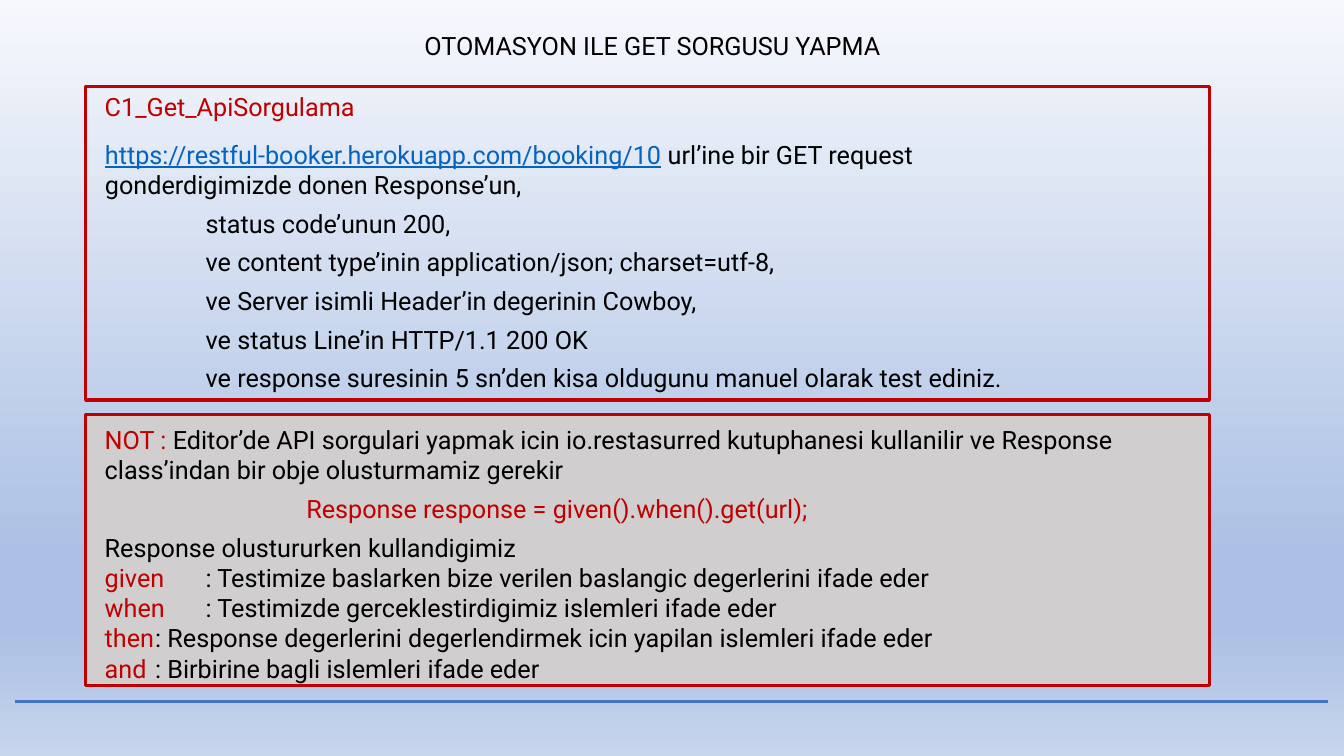
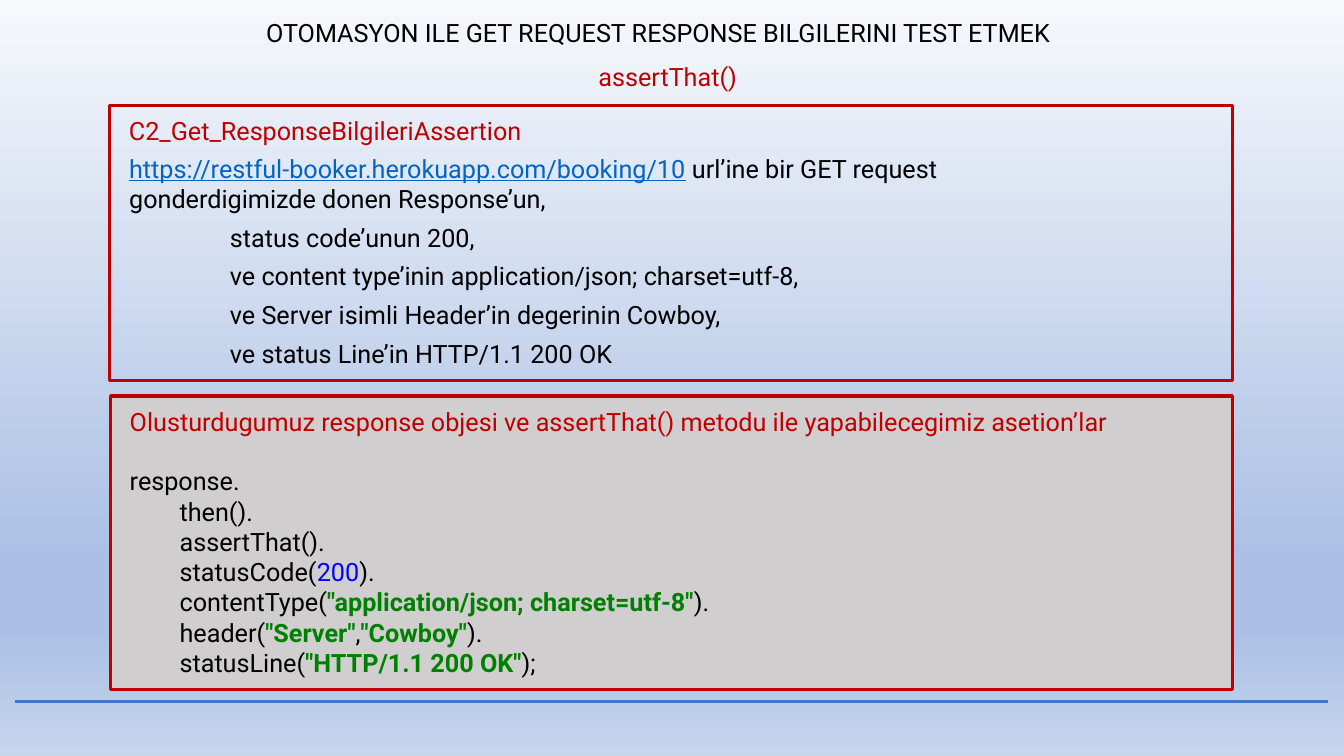
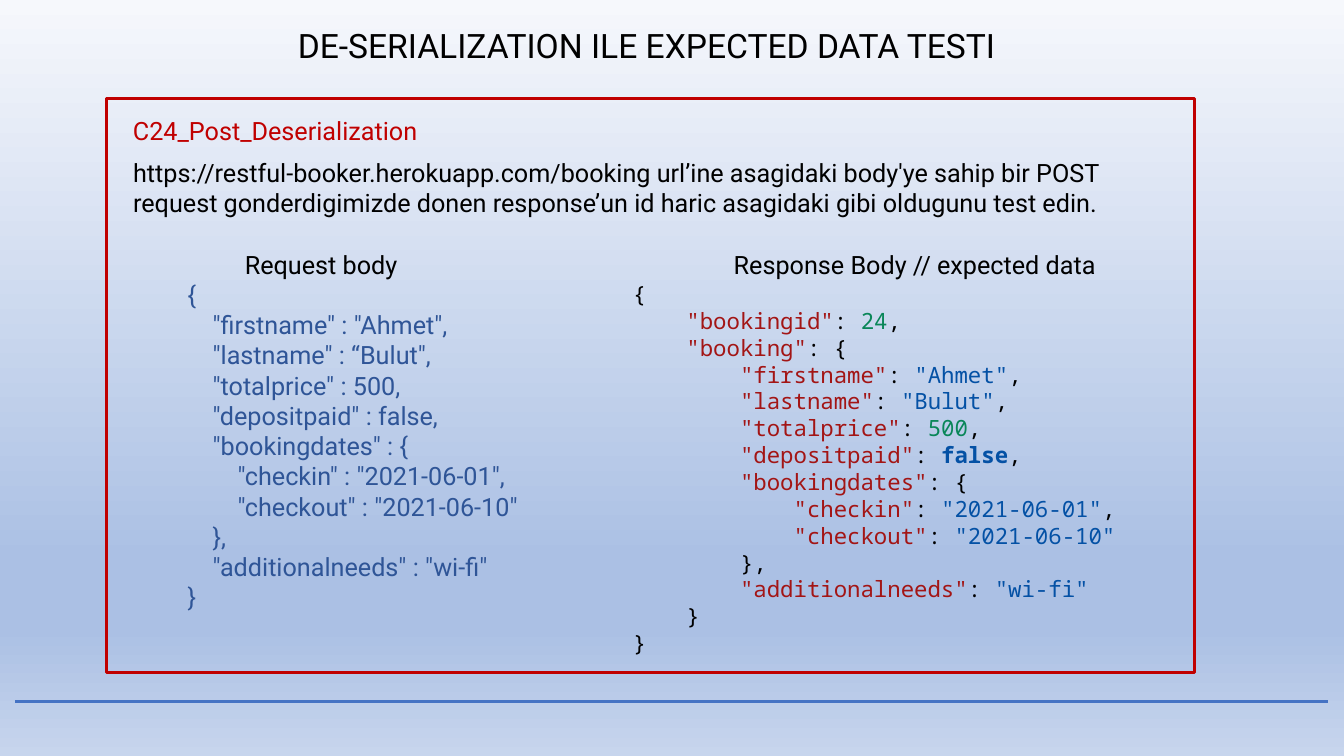
from dataclasses import dataclass
from typing import Optional

from lxml import etree
from pptx import Presentation
from pptx.dml.color import RGBColor
from pptx.enum.shapes import MSO_CONNECTOR, MSO_SHAPE
from pptx.enum.text import MSO_ANCHOR, MSO_AUTO_SIZE, PP_ALIGN
from pptx.oxml.ns import qn
from pptx.util import Cm, Pt

LEFT, CENTER = PP_ALIGN.LEFT, PP_ALIGN.CENTER
TOP, FIXED = MSO_ANCHOR.TOP, MSO_AUTO_SIZE.NONE
RECT, STRAIGHT = MSO_SHAPE.RECTANGLE, MSO_CONNECTOR.STRAIGHT


@dataclass(frozen=True)
class Theme:
    """Colours, fonts and sizes shared by all slides."""
    black: str = "000000"
    red: str = "C00000"
    gray: str = "D0CECE"
    rule: str = "4472C4"
    link: str = "0563C1"
    navy: str = "2F5597"
    blue: str = "0000FF"
    green: str = "008000"
    key: str = "A31515"
    value: str = "0451A5"
    digit: str = "098658"
    sky: tuple = ((0, "F6F8FC"), (74, "ABC0E4"), (83, "ABC0E4"), (100, "C7D5ED"))
    sans: str = "Roboto"
    mono: str = "Noto Sans Mono"
    text: int = 18
    code: int = 16
    large: int = 24
    pitch: float = 19.2
    gap: int = 6
    line: float = 2.25
    step: float = 2.54


T = Theme()


@dataclass
class Para:
    """One paragraph: runs of text, colour and optional style."""
    runs: list
    indent: float = 0
    before: float = 0
    size: int = T.text
    face: str = T.sans
    pitch: Optional[float] = None
    tab: float = 0
    align: PP_ALIGN = LEFT


def plain(text, color=T.black, **kw):
    """Make a paragraph of one run."""
    return Para([(text, color)], **kw)


def put(par, item):
    """Format a paragraph and add its runs."""
    props = par._p.get_or_add_pPr()
    props.set("marL", str(Cm(item.indent)))
    props.set("indent", "0")
    etree.SubElement(props, qn("a:buNone"))
    if item.tab:
        tabs = etree.SubElement(props, qn("a:tabLst"))
        etree.SubElement(tabs, qn("a:tab"), pos=str(Cm(item.tab)), algn="l")
    par.alignment = item.align
    par.space_before = Pt(item.before)
    par.line_spacing = Pt(item.pitch) if item.pitch else 1.0
    for text, color, *style in item.runs:
        run = par.add_run()
        run.text = text
        font = run.font
        font.name, font.size = item.face, Pt(item.size)
        font.color.rgb = RGBColor.from_string(color)
        font.bold = "bold" in style
        font.underline = "under" in style


def write(shape, area, items):
    """Place a text shape and write its paragraphs."""
    shape.left, shape.top, shape.width, shape.height = map(Cm, area)
    frame = shape.text_frame
    frame.word_wrap = True
    frame.auto_size = FIXED
    frame.vertical_anchor = TOP
    for i, item in enumerate(items):
        put(frame.add_paragraph() if i else frame.paragraphs[0], item)


def label(slide, area, items):
    """Add a text box."""
    write(slide.shapes.add_textbox(*map(Cm, area)), area, items)


def panel(slide, area, fill=None):
    """Add a red frame, filled on demand."""
    box = slide.shapes.add_shape(RECT, *map(Cm, area))
    box.shadow.inherit = False
    if fill:
        box.fill.solid()
        box.fill.fore_color.rgb = RGBColor.from_string(fill)
    else:
        box.fill.background()
    box.line.color.rgb = RGBColor.from_string(T.red)
    box.line.width = Pt(T.line)


def page(deck, title, area, size=T.text, align=LEFT):
    """Add a slide with its title."""
    slide = deck.slides.add_slide(deck.slide_layouts[1])
    write(slide.shapes.title, area, [plain(title, size=size, align=align)])
    return slide


def sky(master):
    """Give the master its gradient background."""
    fill = master.background.fill
    fill.gradient()
    fill.gradient_angle = 270
    stops = master.element.find(".//" + qn("a:gsLst"))
    stops.clear()
    for pos, color in T.sky:
        stop = etree.SubElement(stops, qn("a:gs"), pos=str(pos * 1000))
        etree.SubElement(stop, qn("a:srgbClr"), val=color)


def rule(slide, master):
    """Draw the footer line and move it to the master."""
    line = slide.shapes.add_connector(STRAIGHT, Cm(0.38), Cm(17.68), Cm(33.48), Cm(17.68))
    line.line.color.rgb = RGBColor.from_string(T.rule)
    line.line.width = Pt(T.line)
    etree.SubElement(line.element.spPr, qn("a:effectLst"))
    master.shapes.element.append(line.element)


def task(extra=()):
    """List the checks of a GET request."""
    checks = (
        "status code’unun 200,",
        "ve content type’inin application/json; charset=utf-8,",
        "ve Server isimli Header’in degerinin Cowboy,",
        "ve status Line’in HTTP/1.1 200 OK",
        *extra,
    )
    intro = Para([
        ("https://restful-booker.herokuapp.com/booking/10", T.link, "under"),
        (" url’ine bir GET request gonderdigimizde donen Response’un,", T.black),
    ])
    return [intro] + [plain(c, indent=T.step, before=T.gap) for c in checks]


def code(*runs):
    """Make a line of monospaced code."""
    return Para(list(runs), size=T.code, face=T.mono, pitch=T.pitch)


def entry(depth, key, value, color=T.value, tail=",", *style):
    """Make a JSON line with a key and a value."""
    runs = [("    " * depth + f'"{key}"', T.key), (": ", T.black), (value, color, *style)]
    return code(*runs, *([(tail, T.black)] if tail else []))


def query(deck):
    """Build the slide on the GET query."""
    slide = page(deck, "OTOMASYON ILE GET SORGUSU YAPMA", (10.44, 0.64, 13, 1.02))
    panel(slide, (2.16, 2.18, 28.32, 7.9))
    label(slide, (2.39, 2.18, 16.94, 1.02), [plain("C1_Get_ApiSorgulama", T.red)])
    last = "ve response suresinin 5 sn’den kisa oldugunu manuel olarak test ediniz."
    write(slide.placeholders[1], (2.39, 3.38, 24.28, 6.71), task([last]))
    panel(slide, (2.16, 10.44, 28.32, 6.83), T.gray)
    words = (
        ("given", "Testimize baslarken bize verilen baslangic degerlerini ifade eder"),
        ("when", "Testimizde gerceklestirdigimiz islemleri ifade eder"),
        ("then", "Response degerlerini degerlendirmek icin yapilan islemleri ifade eder"),
        ("and", "Birbirine bagli islemleri ifade eder"),
    )
    label(slide, (2.39, 10.57, 27.81, 6.83), [
        Para([
            ("NOT : ", T.red),
            ("Editor’de API sorgulari yapmak icin io.restasurred kutuphanesi kullanilir "
             "ve Response class’indan bir obje olusturmamiz gerekir", T.black),
        ]),
        plain("Response response = given().when().get(url);", T.red,
              indent=2 * T.step, before=T.gap),
        plain("Response olustururken kullandigimiz", before=T.gap),
        *(Para([(w, T.red), ("\t: " + t, T.black)], tab=1.69) for w, t in words),
    ])
    return slide


def check(deck):
    """Build the slide on response assertions."""
    slide = page(deck, "OTOMASYON ILE GET REQUEST RESPONSE BILGILERINI TEST ETMEK",
                 (6.45, 0.3, 21.2, 1.02))
    label(slide, (14.83, 1.42, 4.5, 1.02), [plain("assertThat()", T.red)])
    panel(slide, (2.77, 2.67, 28.3, 6.91))
    label(slide, (3, 2.77, 16, 1.02), [plain("C2_Get_ResponseBilgileriAssertion", T.red)])
    write(slide.placeholders[1], (3, 3.73, 24.28, 5.74), task())
    panel(slide, (2.79, 9.98, 28.27, 7.39), T.gray)
    pad = " " * 8
    calls = (
        [("then().", T.black)],
        [("assertThat().", T.black)],
        [("statusCode(", T.black), ("200", T.blue), (").", T.black)],
        [("contentType(", T.black),
         ('"application/json; charset=utf-8"', T.green, "bold"), (").", T.black)],
        [("header(", T.black), ('"Server"', T.green, "bold"), (",", T.black),
         ('"Cowboy"', T.green, "bold"), (").", T.black)],
        [("statusLine(", T.black), ('"HTTP/1.1 200 OK"', T.green, "bold"), (");", T.black)],
    )
    label(slide, (3.02, 10.11, 28.04, 7.19), [
        plain("Olusturdugumuz response objesi ve assertThat() metodu ile "
              "yapabilecegimiz asetion’lar", T.red),
        plain("response.", before=21),
        *(Para([(pad + head, color), *rest]) for (head, color), *rest in calls),
    ])


def data(deck):
    """Build the slide on expected data."""
    slide = page(deck, "DE-SERIALIZATION ILE EXPECTED DATA TESTI",
                 (7.06, 0.51, 18.47, 1.27), T.large, CENTER)
    panel(slide, (2.69, 2.49, 27.41, 14.45))
    label(slide, (3.1, 2.79, 14.33, 1.02), [plain("C24_Post_Deserialization", T.red)])
    write(slide.placeholders[1], (3.1, 3.84, 26.64, 1.8), [plain(
        "https://restful-booker.herokuapp.com/booking url’ine asagidaki body'ye sahip bir POST "
        "request gonderdigimizde donen response’un id haric asagidaki gibi oldugunu test edin.")])
    body = """\
       {
           "firstname" : "Ahmet",
           "lastname" : “Bulut",
           "totalprice" : 500,
           "depositpaid" : false,
           "bookingdates" : {
               "checkin" : "2021-06-01",
               "checkout" : "2021-06-10"
           },
           "additionalneeds" : "wi-fi"
       }"""
    label(slide, (3.38, 6.15, 11, 9.5), [
        plain("Request body", indent=T.step),
        *(plain(row, T.navy) for row in body.splitlines()),
    ])
    label(slide, (15.7, 6.17, 13.34, 10.59), [
        plain("Response Body // expected data", indent=T.step),
        code(("{", T.black)),
        entry(1, "bookingid", "24", T.digit),
        entry(1, "booking", "{", T.black, ""),
        entry(2, "firstname", '"Ahmet"'),
        entry(2, "lastname", '"Bulut"'),
        entry(2, "totalprice", "500", T.digit),
        entry(2, "depositpaid", "false", T.value, ",", "bold"),
        entry(2, "bookingdates", "{", T.black, ""),
        entry(3, "checkin", '"2021-06-01"'),
        entry(3, "checkout", '"2021-06-10"', tail=""),
        code(("        },", T.black)),
        entry(2, "additionalneeds", '"wi-fi"', tail=""),
        code(("    }", T.black)),
        code(("}", T.black)),
    ])


def main():
    """Build and save the deck."""
    deck = Presentation()
    deck.slide_width, deck.slide_height = Cm(33.87), Cm(19.05)
    sky(deck.slide_master)
    rule(query(deck), deck.slide_master)
    check(deck)
    data(deck)
    deck.save("out.pptx")


if __name__ == "__main__":
    main()
